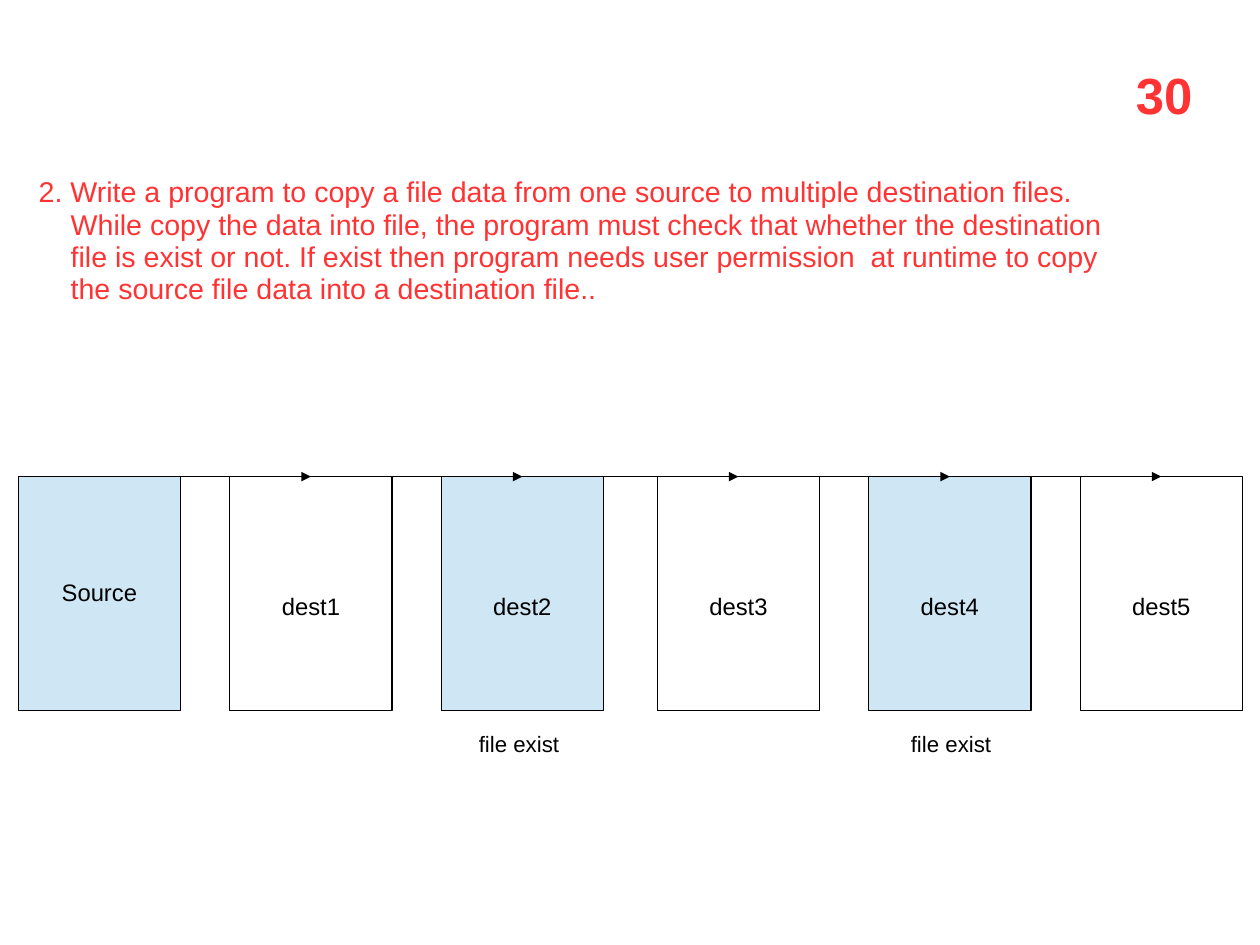
import itertools

import pptx
import pptx.dml.color
import pptx.enum.shapes
import pptx.enum.text
import pptx.oxml
import pptx.oxml.ns
import pptx.util

Inches = pptx.util.Inches
Pt = pptx.util.Pt

COLORS = {"red": "FF3333", "black": "000000", "white": "FFFFFF", "blue": "CFE7F5"}
SLIDE_SIZE = (28 / 2.54, 21 / 2.54)
QUESTION = (
    "2. Write a program to copy a file data from one source to multiple destination files. "
    "While copy the data into file, the program must check that whether the destination "
    "file is exist or not. If exist then program needs user permission  at runtime to copy "
    "the source file data into a destination file.."
)
SLIDE_NUMBER = "30"
FILES = [
    ("Source", "blue"),
    ("dest1", "white"),
    ("dest2", "blue"),
    ("dest3", "white"),
    ("dest4", "blue"),
    ("dest5", "white"),
]
EXIST_LABEL = "file exist"
EXIST_LEFTS = [4.09, 7.87]

FILE_TOP, FILE_WIDTH, FILE_HEIGHT = 4.17, 1.42, 2.05
FILE_STEP, GROUP_LEFTS, GROUP_SIZE = 1.85, [0.16, 5.75], 3
DEST_TOP_INSET = 0.29
NUMBER_INDENT = 0.28


def rgb(color):
    return pptx.dml.color.RGBColor.from_string(COLORS[color])


def write(frame, text, size, color, bold=False):
    frame.text = text
    paragraph = frame.paragraphs[0]
    paragraph.line_spacing = 0.94
    font = paragraph.runs[0].font
    font.name = "Arial"
    font.size = Pt(size)
    font.bold = bold
    font.color.rgb = rgb(color)
    return paragraph


def add_text(slide, box, text, size, color, bold=False):
    frame = slide.shapes.add_textbox(*map(Inches, box)).text_frame
    frame.word_wrap = True
    return write(frame, text, size, color, bold)


def add_file(slide, index, name, fill):
    group, column = divmod(index, GROUP_SIZE)
    left = GROUP_LEFTS[group] + column * FILE_STEP
    file_box = slide.shapes.add_shape(
        pptx.enum.shapes.MSO_SHAPE.RECTANGLE,
        *map(Inches, (left, FILE_TOP, FILE_WIDTH, FILE_HEIGHT)),
    )
    file_box.shadow.inherit = False
    file_box.fill.solid()
    file_box.fill.fore_color.rgb = rgb(fill)
    file_box.line.color.rgb = rgb("black")
    file_box.line.width = Pt(0.75)
    frame = file_box.text_frame
    frame.word_wrap = False
    frame.vertical_anchor = pptx.enum.text.MSO_ANCHOR.MIDDLE
    if index > 0:
        frame.margin_top = Inches(DEST_TOP_INSET)
    write(frame, name, 15, "black").alignment = pptx.enum.text.PP_ALIGN.CENTER
    return file_box


def add_arrow(slide, start, end):
    arrow = slide.shapes.add_connector(pptx.enum.shapes.MSO_CONNECTOR.STRAIGHT, 0, 0, 0, 0)
    arrow.begin_connect(start, 0)
    arrow.end_connect(end, 0)
    arrow.line.color.rgb = rgb("black")
    arrow.line.width = Pt(0.75)
    namespace = pptx.oxml.ns.nsdecls("a")
    head = pptx.oxml.parse_xml(f'<a:tailEnd {namespace} type="triangle"/>')
    arrow.line._get_or_add_ln().append(head)
    arrow._element.spPr.append(pptx.oxml.parse_xml(f"<a:effectLst {namespace}/>"))


def main():
    deck = pptx.Presentation()
    deck.slide_width, deck.slide_height = map(Inches, SLIDE_SIZE)
    slide = deck.slides.add_slide(deck.slide_layouts[6])

    question = add_text(slide, (0.24, 1.5, 9.71, 1.24), QUESTION, 18, "red")
    indent = question._p.get_or_add_pPr()
    indent.set("marL", str(Inches(NUMBER_INDENT)))
    indent.set("indent", str(-Inches(NUMBER_INDENT)))

    files = [add_file(slide, index, *file) for index, file in enumerate(FILES)]
    for start, end in itertools.pairwise(files):
        add_arrow(slide, start, end)

    for left in EXIST_LEFTS:
        add_text(slide, (left, 6.36, 0.95, 0.33), EXIST_LABEL, 14, "black")
    add_text(slide, (9.84, 0.55, 0.75, 0.63), SLIDE_NUMBER, 32, "red", bold=True)

    deck.save("out.pptx")


if __name__ == "__main__":
    main()
